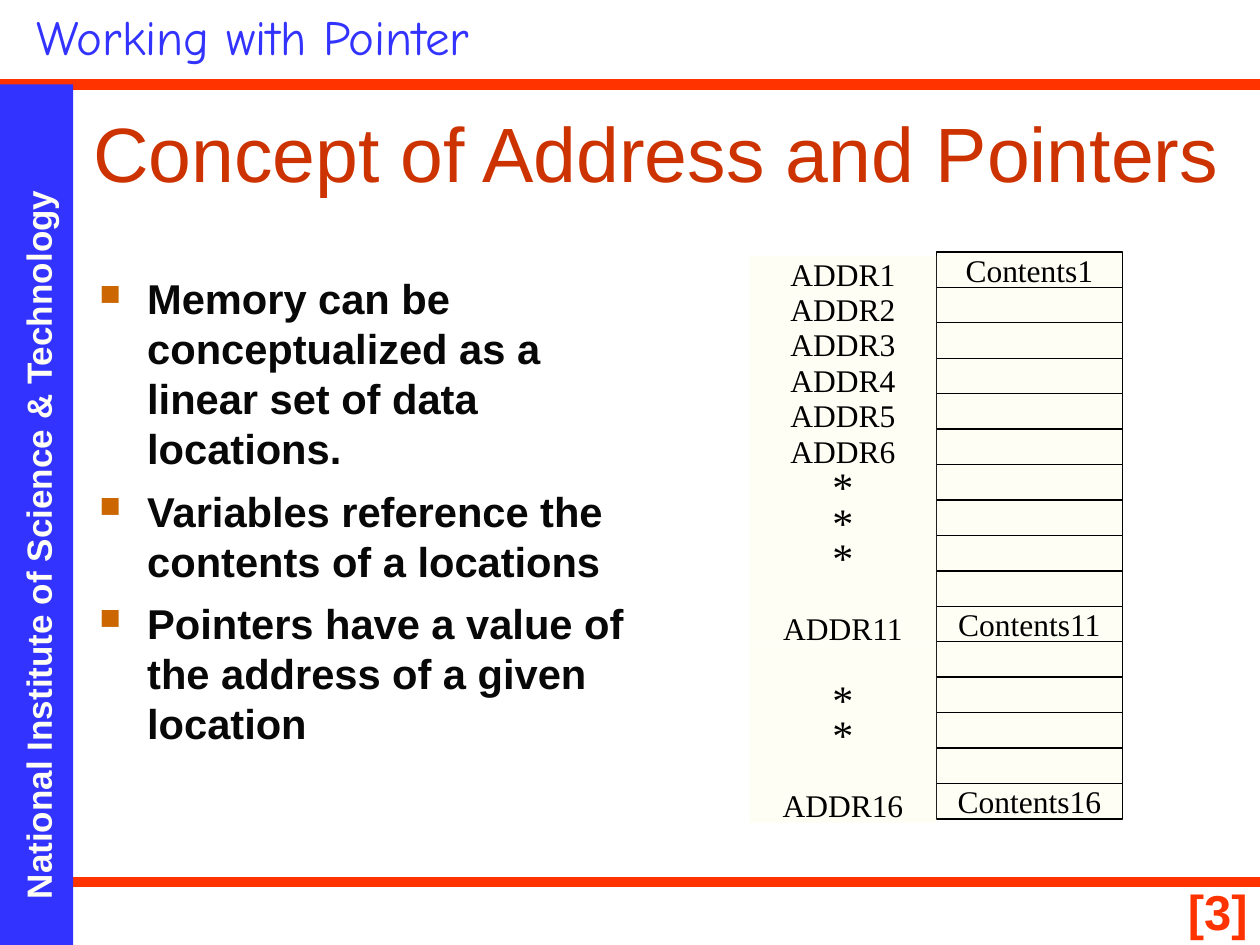
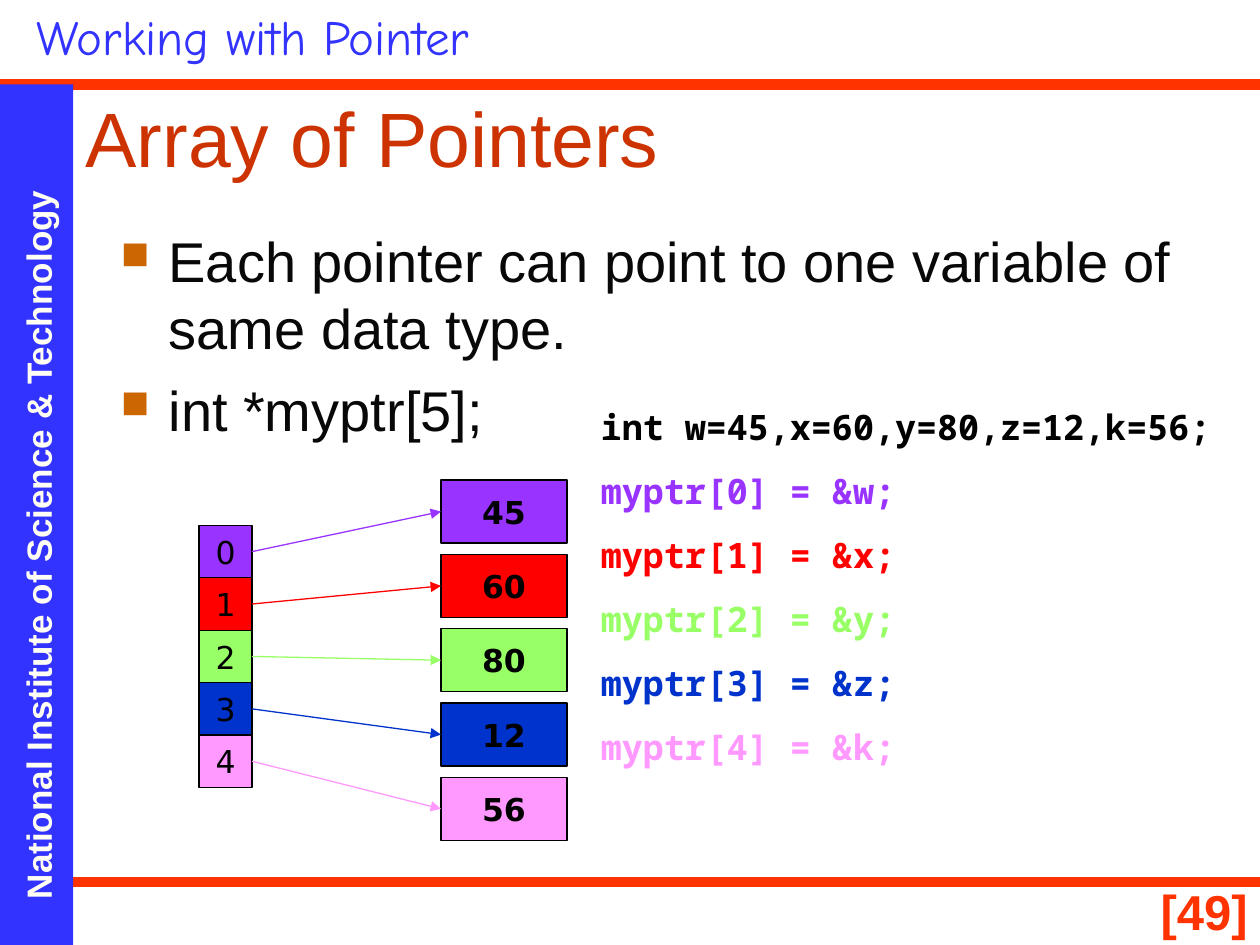
"""Two slides on pointers: addresses in memory, and an array of pointers."""
from lxml import etree
from pptx import Presentation
from pptx.dml.color import RGBColor
from pptx.enum import shapes, text
from pptx.oxml import ns
from pptx.util import Inches, Pt

BLUE, ORANGE, RUST, BULLET = "3333FF", "FF3300", "CC3300", "CC6600"
IVORY, INK, BLACK = "FEFEF4", "080808", "000000"
LEFT, CENTER, RIGHT = text.PP_ALIGN.LEFT, text.PP_ALIGN.CENTER, text.PP_ALIGN.RIGHT
TOP, MIDDLE, BOTTOM = text.MSO_ANCHOR.TOP, text.MSO_ANCHOR.MIDDLE, text.MSO_ANCHOR.BOTTOM


def write(slide, at, lines, fill=None, border=None, font="Arial", size=18, color=BLACK,
          bold=False, align=LEFT, anchor=TOP, wrap=True, before=0, bullets=False, rotation=0):
    """Put lines of text in a box, filled when a fill is given."""
    place = [Inches(length) for length in at]
    if fill:
        box = slide.shapes.add_shape(shapes.MSO_SHAPE.RECTANGLE, *place)
        box.shadow.inherit = False
        box.fill.solid()
        box.fill.fore_color.rgb = RGBColor.from_string(fill)
        if border:
            box.line.color.rgb = RGBColor.from_string(border)
            box.line.width = Pt(0.75)
        else:
            box.line.fill.background()
    else:
        box = slide.shapes.add_textbox(*place)
    box.rotation = rotation
    frame = box.text_frame
    frame.word_wrap = wrap
    frame.vertical_anchor = anchor
    colors = [color] * len(lines) if isinstance(color, str) else color
    for i, (line, hue) in enumerate(zip(lines, colors)):
        paragraph = frame.paragraphs[0] if i == 0 else frame.add_paragraph()
        paragraph.alignment = align
        if len(lines) > 1:
            paragraph.line_spacing = Pt(1.2 * size)
        if i:
            paragraph.space_before = Pt(before)
        if bullets:
            props = paragraph._p.get_or_add_pPr()
            props.set("marL", str(Inches(0.38)))
            props.set("indent", str(-Inches(0.38)))
            tint = etree.SubElement(props, ns.qn("a:buClr"))
            etree.SubElement(tint, ns.qn("a:srgbClr"), val=BULLET)
            etree.SubElement(props, ns.qn("a:buSzPct"), val="70000")
            etree.SubElement(props, ns.qn("a:buChar"), char="■")
        run = paragraph.add_run()
        run.text = line
        run.font.name = font
        run.font.size = Pt(size)
        run.font.bold = bold
        run.font.color.rgb = RGBColor.from_string(hue)


def rule(slide, start, end, color, width, arrow=False):
    """Draw a straight line, with an arrowhead at its end if asked."""
    line = slide.shapes.add_connector(
        shapes.MSO_CONNECTOR.STRAIGHT, *[Inches(length) for length in start + end])
    line.line.color.rgb = RGBColor.from_string(color)
    line.line.width = Pt(width)
    if arrow:
        etree.SubElement(line.line._get_or_add_ln(), ns.qn("a:tailEnd"), type="triangle")
    etree.SubElement(line._element.spPr, ns.qn("a:effectLst"))


deck = Presentation()
deck.slide_width, deck.slide_height = Inches(10), Inches(7.5)

pages = []
for number, title, title_at in [
    ("[3]", "Concept of Address and Pointers", (0.64, 0.79, 9.36, 0.83)),
    ("[49]", "Array of Pointers", (0.58, 0.67, 9.11, 0.83)),
]:
    page = deck.slides.add_slide(deck.slide_layouts[6])
    for y in (7, 0.67):
        rule(page, (0, y), (10, y), ORANGE, 6)
    write(page, (8.78, 6.95, 1.22, 0.46), [number], size=28, color=ORANGE, bold=True, align=RIGHT)
    write(page, (0, 0.67, 0.58, 6.83), [], fill=BLUE)
    write(page, (-2.78, 3.94, 6.16, 0.43), ["National Institute of Science & Technology"],
          size=20, color=IVORY, bold=True, rotation=270)
    write(page, (0.19, 0, 3.68, 0.57), ["Working with Pointer"],
          font="Comic Neue", size=28, color=BLUE, wrap=False)
    write(page, title_at, [title], size=44, color=RUST, anchor=BOTTOM)
    pages.append(page)
memory, pointers = pages

write(memory, (0.69, 2.12, 4.49, 4.5), [
    "Memory can be conceptualized as a linear set of data locations.",
    "Variables reference the contents of a locations",
    "Pointers have a value of the address of a given location",
], size=23.8, color=INK, bold=True, before=7, bullets=True)

contents = {1: "Contents1", 11: "Contents11", 16: "Contents16"}
addresses = {n: f"ADDR{n}" for n in (1, 2, 3, 4, 5, 6, 11, 16)}
addresses.update({n: "*" for n in (7, 8, 9, 13, 14)})
row_height = 4.5 / 16
for labels, x, y, border in [(contents, 7.43, 2, BLACK), (addresses, 5.95, 2.03, None)]:
    for n in range(1, 17):
        label = labels.get(n)
        write(memory, (x, y + (n - 1) * row_height, 1.48, row_height), [label] if label else [],
              fill=IVORY, border=border, font="Times New Roman",
              size=24 if label == "*" else 18, align=CENTER, anchor=MIDDLE, wrap=False)

write(pointers, (0.86, 1.75, 8.98, 4.5), [
    "Each pointer can point to one variable of same data type.",
    "int *myptr[5];",
], size=32, color=INK, before=8, bullets=True)

variables = [("w", 45, "9933FF"), ("x", 60, "FF0000"), ("y", 80, "99FF66"),
             ("z", 12, "0033CC"), ("k", 56, "FF99FF")]
cell = 2.08 / 5
for i, (variable, value, hue) in enumerate(variables):
    cell_y, value_y = 4.17 + i * cell, 3.81 + i * 0.59
    in_box = dict(fill=hue, border=BLACK, font="DejaVu Sans",
                  align=CENTER, anchor=MIDDLE, wrap=False)
    write(pointers, (1.58, cell_y, 0.42, cell), [str(i)], **in_box)
    write(pointers, (3.5, value_y, 1, 0.5), [str(value)], bold=True, **in_box)
    rule(pointers, (2, cell_y + cell / 2), (3.5, value_y + 0.25), hue, 0.75, arrow=True)

declaration = ",".join(f"{variable}={value}" for variable, value, hue in variables)
assignments = [f"myptr[{i}] = &{variable};" for i, (variable, value, hue) in enumerate(variables)]
write(pointers, (4.67, 3.17, 5.17, 2.97), [f"int {declaration};"] + assignments,
      font="Noto Sans Mono", size=20, bold=True, before=12.5,
      color=[BLACK] + [hue for variable, value, hue in variables])

deck.save("out.pptx")
